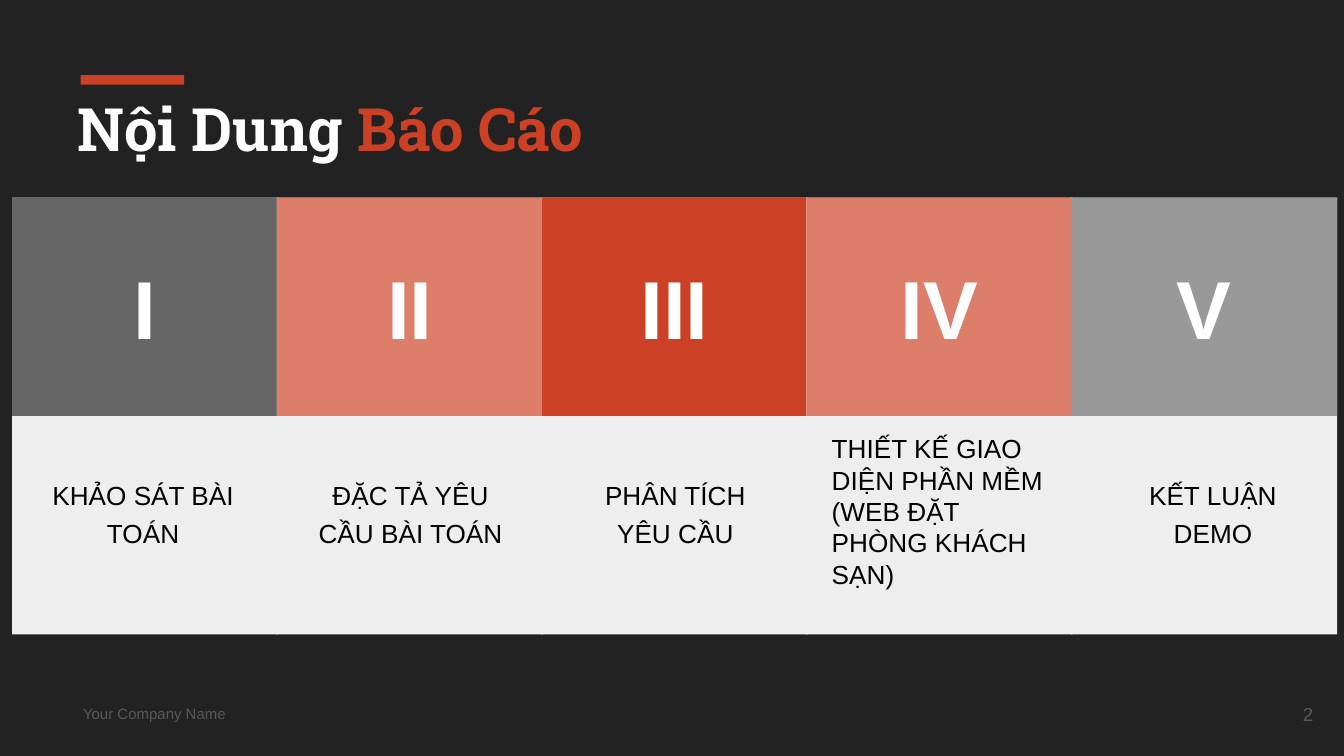
from dataclasses import dataclass
from typing import Any

from pptx import Presentation
from pptx.dml.color import RGBColor
from pptx.enum.shapes import MSO_SHAPE
from pptx.enum.text import MSO_ANCHOR, PP_ALIGN
from pptx.util import Inches, Pt

BACKGROUND = RGBColor(0x22, 0x22, 0x22)
ACCENT = RGBColor(0xCC, 0x41, 0x25)
SALMON = RGBColor(0xDD, 0x7E, 0x6B)
DARK_GRAY = RGBColor(0x66, 0x66, 0x66)
MID_GRAY = RGBColor(0x99, 0x99, 0x99)
PALE = RGBColor(0xEE, 0xEE, 0xEE)
MUTED = RGBColor(0x59, 0x59, 0x59)
WHITE = RGBColor(0xFF, 0xFF, 0xFF)
BLACK = RGBColor(0x00, 0x00, 0x00)

CELL = Inches(0.1)
GRID_COLUMNS, GRID_ROWS = 100, 56.25
FIRST_CARD, CARD_STEP, CARD_WIDTH = 0.9, 19.7, 19.8
CARD_TOP, CARD_HEIGHT = 14.7, 32.5

SECTIONS = [
    ("I", DARK_GRAY, ["KHẢO SÁT BÀI TOÁN"], 1.5),
    ("II", SALMON, ["ĐẶC TẢ YÊU CẦU BÀI TOÁN"], 1.7),
    ("III", ACCENT, ["PHÂN TÍCH YÊU CẦU"], 1.7),
    ("IV", SALMON, ["THIẾT KẾ GIAO DIỆN PHẦN MỀM (WEB ĐẶT PHÒNG KHÁCH SẠN)"], 0.9),
    ("V", MID_GRAY, ["KẾT LUẬN", "DEMO"], 2.3),
]


def write(shape, paragraphs, size, color=WHITE, font="Arial", bold=False,
          align=PP_ALIGN.LEFT, anchor=MSO_ANCHOR.TOP, spacing=None, inset=1):
    """Fill a shape with paragraphs, each a string or a list of (text, color) runs."""
    frame = shape.text_frame
    frame.word_wrap = True
    frame.vertical_anchor = anchor
    frame.margin_left = frame.margin_right = CELL
    frame.margin_top = frame.margin_bottom = int(inset * CELL)
    for index, content in enumerate(paragraphs):
        paragraph = frame.add_paragraph() if index else frame.paragraphs[0]
        paragraph.alignment = align
        if spacing:
            paragraph.line_spacing = spacing
        runs = [(content, color)] if isinstance(content, str) else content
        for words, run_color in runs:
            run = paragraph.add_run()
            run.text = words
            run.font.size = Pt(size)
            run.font.name = font
            run.font.bold = bold
            run.font.color.rgb = run_color


@dataclass
class Deck:
    """Hold the slide and draw the elements in the shared style."""

    slide: Any

    def place(self, *cells):
        """Turn grid cells into slide lengths."""
        return [int(cell * CELL) for cell in cells]

    def block(self, left, top, width, height, color):
        """Draw a flat rectangle."""
        block = self.slide.shapes.add_shape(
            MSO_SHAPE.RECTANGLE, *self.place(left, top, width, height))
        block.shadow.inherit = False
        block.fill.solid()
        block.fill.fore_color.rgb = color
        block.line.fill.background()
        return block

    def text(self, left, top, width, height, paragraphs, size, **style):
        """Draw a text box."""
        box = self.slide.shapes.add_textbox(*self.place(left, top, width, height))
        write(box, paragraphs, size, **style)

    def card(self, left, numeral, color):
        """Draw a pale card with a numbered upper half."""
        self.block(left, CARD_TOP, CARD_WIDTH, CARD_HEIGHT, PALE)
        header = self.block(left, CARD_TOP, CARD_WIDTH, CARD_HEIGHT / 2, color)
        write(header, [numeral], 44, bold=True, align=PP_ALIGN.CENTER,
              anchor=MSO_ANCHOR.MIDDLE)

    def caption(self, left, lines, compact):
        """Draw the topic of a card, left aligned and tight when compact."""
        if compact:
            self.text(left, 31.7, 18.8, 12.8, lines, 14, color=BLACK, inset=0.5)
        else:
            self.text(left, 34.2, 16.5, 8.9, lines, 14, color=BLACK,
                      align=PP_ALIGN.CENTER, spacing=1.2)


def main():
    """Build the contents slide."""
    presentation = Presentation()
    presentation.slide_width = int(GRID_COLUMNS * CELL)
    presentation.slide_height = int(GRID_ROWS * CELL)
    slide = presentation.slides.add_slide(presentation.slide_layouts[6])
    slide.background.fill.solid()
    slide.background.fill.fore_color.rgb = BACKGROUND
    deck = Deck(slide)

    deck.block(6, 5.6, 7.7, 0.7, ACCENT)
    deck.text(4.8, 5.8, 90.4, 6.5, [[("Nội Dung ", WHITE), ("Báo Cáo", ACCENT)]], 32,
              font="Roboto Slab", bold=True)
    for index, (numeral, color, lines, indent) in enumerate(SECTIONS):
        left = FIRST_CARD + index * CARD_STEP
        deck.card(left, numeral, color)
        deck.caption(left + indent, lines, compact=numeral == "IV")
    deck.text(5.2, 51.8, 16.7, 2.6, ["Your Company Name"], 8, color=MUTED,
              anchor=MSO_ANCHOR.MIDDLE)
    deck.text(92.7, 51, 6, 4.3, ["2"], 10, color=MUTED, align=PP_ALIGN.RIGHT,
              anchor=MSO_ANCHOR.MIDDLE)
    presentation.save("out.pptx")


if __name__ == "__main__":
    main()
